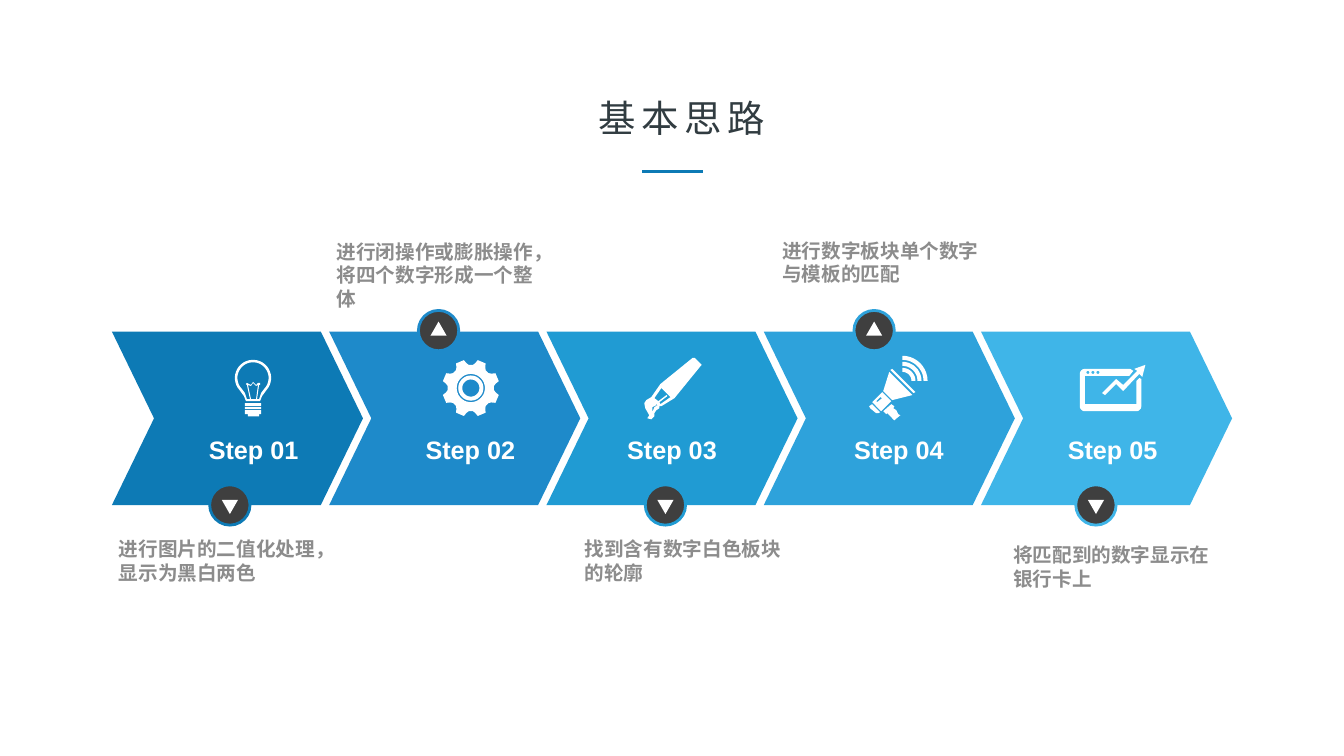
from dataclasses import dataclass
from math import cos, radians, sin

from pptx import Presentation
from pptx.dml.color import RGBColor
from pptx.enum.shapes import MSO_SHAPE as Preset
from pptx.enum.text import MSO_ANCHOR as Anchor, MSO_AUTO_SIZE as AutoSize, PP_ALIGN as Align
from pptx.oxml import parse_xml
from pptx.util import Inches, Pt

Point = tuple[float, float]
Contour = list[Point]

FONT = "Arial"
WHITE, DARK, GREY, TITLE_COLOUR = "FFFFFF", "3F3F3F", "8C8C8C", "313C41"
ACCENT = "0D7AB5"
CHEVRON_LEFT, CHEVRON_STEP, CHEVRON_TOP = 1.11, 2.155, 3.29
BADGE_SIZE = 0.4
EMU_PER_MIL = 914.4
EFFECTS = '<a:effectLst xmlns:a="http://schemas.openxmlformats.org/drawingml/2006/main"/>'


@dataclass
class Step:
    colour: str
    label_left: float
    badge_left: float
    note: str
    note_box: tuple[float, float, float, float]
    points_up: bool
    icon: list[Contour]


def colour_of(value: str) -> RGBColor:
    return RGBColor.from_string(value)


def arc(x: float, y: float, radius: float, start: float = 0, end: float = 360) -> Contour:
    """Points along a circle; angles run clockwise from the right, in degrees."""
    count = max(4, round(abs(end - start) / 9))
    angles = [radians(start + (end - start) * i / count) for i in range(count + 1)]
    return [(x + radius * cos(a), y + radius * sin(a)) for a in angles]


def rectangle(left: float, top: float, right: float, bottom: float) -> Contour:
    return [(left, top), (right, top), (right, bottom), (left, bottom)]


def bulb() -> list[Contour]:
    x, y = 2.51, 3.75
    glass = [(2.44, 3.98), (2.42, 3.93), *arc(x, y, 0.18, 138, 402), (2.6, 3.93), (2.58, 3.98)]
    hollow = [(2.45, 3.96), (2.43, 3.9), *arc(x, y, 0.155, 138, 402), (2.59, 3.9), (2.57, 3.96)]
    filament = [(2.48, 3.96), (2.45, 3.82), (2.44, 3.81), (2.45, 3.8), (2.47, 3.81), (2.49, 3.82),
                (2.51, 3.79), (2.54, 3.82), (2.56, 3.8), (2.58, 3.8), (2.58, 3.82), (2.57, 3.82),
                (2.55, 3.96), (2.54, 3.96), (2.56, 3.82), (2.54, 3.83), (2.51, 3.8), (2.49, 3.83),
                (2.46, 3.82), (2.49, 3.96)]
    bars = [rectangle(2.43, top, 2.59, bottom)
            for top, bottom in ((4, 4.03), (4.04, 4.06), (4.07, 4.11))]
    return [glass, hollow, filament, *bars, rectangle(2.46, 4.11, 2.57, 4.13)]


def gear() -> list[Contour]:
    x, y = 4.67, 3.85
    notch = ((-14, 0.285), (-10, 0.25), (-5, 0.23), (5, 0.23), (10, 0.25), (14, 0.285))
    rim = [(x + radius * cos(radians(45 * tooth + turn)), y + radius * sin(radians(45 * tooth + turn)))
           for tooth in range(8) for turn, radius in notch]
    return [rim, *(arc(x, y, radius) for radius in (0.14, 0.125, 0.085))]


def brush() -> list[Contour]:
    outline = [(6.95, 3.61), (6.89, 3.55), (6.87, 3.55), (6.55, 3.81), (6.46, 3.94), (6.41, 3.97),
               (6.39, 4), (6.4, 4.05), (6.44, 4.12), (6.42, 4.15), (6.46, 4.16), (6.49, 4.13),
               (6.49, 4.1), (6.51, 4.07), (6.54, 4.05), (6.54, 4.03), (6.56, 4.03), (6.69, 3.95),
               (6.95, 3.63), (6.96, 3.62)]
    bristle = [(6.47, 4.09), (6.47, 4.04), (6.51, 4.02), (6.51, 4), (6.52, 4.02), (6.49, 4.04)]
    ferrule = [(6.55, 4.01), (6.54, 3.99), (6.62, 3.93), (6.61, 3.92), (6.53, 3.98), (6.49, 3.95),
               (6.56, 3.85), (6.65, 3.94)]
    return [outline, bristle, ferrule]


def megaphone() -> list[Contour]:
    x, y = 8.95, 3.78
    waves = [arc(x, y, radius, 270, 360) + arc(x, y, radius - 0.04, 360, 270)
             for radius in (0.13, 0.19, 0.25)]
    return [*waves,
            [(8.65, 4.01), (8.62, 4.03), (8.63, 4.05), (8.69, 4.1), (8.71, 4.1), (8.73, 4.09)],
            [(8.84, 3.98), (8.74, 4.08), (8.65, 3.99), (8.75, 3.89)],
            [(8.75, 3.95), (8.73, 3.94), (8.69, 3.98), (8.7, 3.99)],
            [(8.83, 3.67), (9.06, 3.9), (9.08, 3.89), (8.85, 3.66)],
            [(8.76, 3.88), (8.85, 3.97), (9.05, 3.92), (8.82, 3.69)],
            [(8.93, 4.12), (8.91, 4.11), (8.89, 4.07), (8.86, 4.05), (8.87, 4.03), (8.84, 4.01),
             (8.76, 4.08), (8.79, 4.11), (8.8, 4.1), (8.87, 4.17)]]


def rising_chart() -> list[Contour]:
    arrow = [(11.36, 3.62), (11.33, 3.74), (11.3, 3.71), (11.14, 3.88), (11.07, 3.81),
             (10.96, 3.92), (10.93, 3.9), (11.07, 3.76), (11.14, 3.82), (11.28, 3.68), (11.25, 3.66)]
    window = [(11.3, 3.75), (11.32, 3.76), *arc(11.27, 4.03, 0.05, 0, 90),
              *arc(10.76, 4.03, 0.05, 90, 180), *arc(10.76, 3.71, 0.05, 180, 270), (11.21, 3.66),
              (11.24, 3.68), (11.2, 3.73), (10.76, 3.73), (10.76, 4.01), (11.27, 4.01), (11.27, 3.78)]
    return [arrow, window, *(arc(x, 3.695, 0.015) for x in (10.79, 10.84, 10.89))]


STEPS = [
    Step(ACCENT, 1.69, 2.08, "进行图片的二值化处理，显示为黑白两色", (1.08, 5.28, 2.18, 0.57), False, bulb()),
    Step("1E8ACA", 3.84, 4.15, "进行闭操作或膨胀操作，将四个数字形成一个整体",
         (3.24, 2.33, 2.18, 0.81), True, gear()),
    Step("209BD3", 5.84, 6.4, "找到含有数字白色板块的轮廓", (5.7, 5.28, 2.18, 0.57), False, brush()),
    Step("2EA2DB", 8.09, 8.47, "进行数字板块单个数字与模板的匹配", (7.66, 2.32, 2.18, 0.57), True, megaphone()),
    Step("3FB5E8", 10.21, 10.67, "将匹配到的数字显示在银行卡上", (9.95, 5.34, 2.18, 0.57), False, rising_chart()),
]


def paint(shape, fill: str, line: str | None = None) -> None:
    shape.shadow.inherit = False
    shape.fill.solid()
    shape.fill.fore_color.rgb = colour_of(fill)
    if line:
        shape.line.color.rgb = colour_of(line)
        shape.line.width = Pt(2)
    else:
        shape.line.fill.background()


def add_preset(page, preset, left: float, top: float, width: float, height: float,
               fill: str, line: str | None = None):
    shape = page.shapes.add_shape(preset, Inches(left), Inches(top), Inches(width), Inches(height))
    paint(shape, fill, line)
    return shape


def add_icon(page, contours: list[Contour]) -> None:
    mils = [[(round(x * 1000), round(y * 1000)) for x, y in contour] for contour in contours]
    builder = page.shapes.build_freeform(*mils[0][0], scale=EMU_PER_MIL)
    for number, (start, *rest) in enumerate(mils):
        if number:
            builder.move_to(*start)
        builder.add_line_segments(rest, close=True)
    paint(builder.convert_to_shape(), WHITE)


def write(box, text: str, *, size: float, colour: str, bold: bool = False, align=Align.LEFT,
          wrap: bool = True, line_spacing: float | None = None, tracking: float = 0) -> None:
    frame = box.text_frame
    frame.word_wrap = wrap
    frame.auto_size = AutoSize.SHAPE_TO_FIT_TEXT
    frame.vertical_anchor = Anchor.TOP
    para = frame.paragraphs[0]
    para.alignment = align
    para.line_spacing = line_spacing
    span = para.add_run()
    span.text = text
    span.font.name, span.font.size, span.font.bold = FONT, Pt(size), bold
    span.font.color.rgb = colour_of(colour)
    if tracking:
        span._r.get_or_add_rPr().set("spc", str(round(tracking * 100)))


def add_text(page, area: tuple[float, float, float, float], text: str, **style) -> None:
    write(page.shapes.add_textbox(*map(Inches, area)), text, **style)


def add_badge(page, step: Step) -> None:
    top = 3.08 if step.points_up else 4.81
    add_preset(page, Preset.OVAL, step.badge_left, top, BADGE_SIZE, BADGE_SIZE, DARK, step.colour)
    triangle_top = top + (0.11 if step.points_up else 0.15)
    triangle = add_preset(page, Preset.ISOSCELES_TRIANGLE, step.badge_left + 0.12, triangle_top,
                          0.16, 0.14, WHITE)
    triangle.rotation = 0 if step.points_up else 180


def add_heading(page) -> None:
    title = page.shapes.title
    title.left, title.top, title.width, title.height = map(Inches, (5.8, 0.98, 1.92, 0.46))
    write(title, "基本思路", size=26.7, colour=TITLE_COLOUR, align=Align.CENTER, wrap=False,
          line_spacing=0.8, tracking=4)
    rule = page.shapes.add_connector(1, Inches(6.37), Inches(1.7), Inches(6.97), Inches(1.7))
    rule.line.color.rgb = colour_of(ACCENT)
    rule.line.width = Pt(2)
    rule._element.spPr.append(parse_xml(EFFECTS))


def main() -> None:
    deck = Presentation()
    deck.slide_width, deck.slide_height = Inches(13.33), Inches(7.5)
    page = deck.slides.add_slide(deck.slide_layouts.get_by_name("Title Only"))
    add_heading(page)
    for index, step in enumerate(STEPS):
        chevron = add_preset(page, Preset.CHEVRON, CHEVRON_LEFT + index * CHEVRON_STEP, CHEVRON_TOP,
                             2.49, 1.72, step.colour)
        chevron.adjustments[0] = 0.243
        add_icon(page, step.icon)
        add_text(page, (step.label_left, 4.26, 1.65, 0.4), f"Step {index + 1:02}", size=18,
                 colour=WHITE, bold=True, align=Align.CENTER)
        add_text(page, step.note_box, step.note, size=14, colour=GREY, bold=True)
        add_badge(page, step)
    deck.save("out.pptx")


if __name__ == "__main__":
    main()
